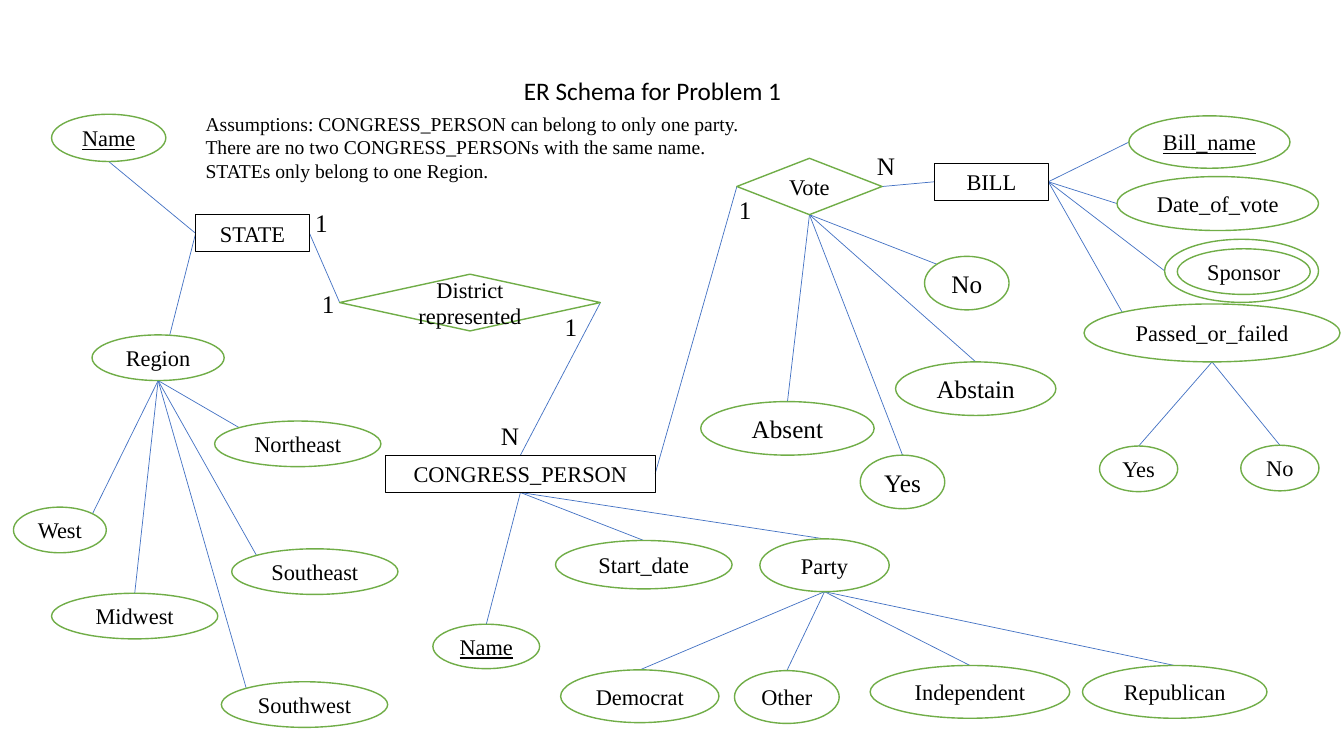
"""Build the ER schema slide for states, congress persons and bills."""
from pptx import Presentation
from pptx.dml.color import RGBColor
from pptx.enum.shapes import MSO_CONNECTOR, MSO_SHAPE
from pptx.enum.text import MSO_ANCHOR, MSO_AUTO_SIZE, PP_ALIGN
from pptx.oxml.ns import qn
from pptx.util import Cm, Pt
from lxml import etree

COLORS = {name: RGBColor.from_string(value) for name, value in {
    "text": "000000", "entity": "000000", "paper": "FFFFFF",
    "oval": "70AD47", "link": "4472C4"}.items()}
SERIF = "Times New Roman"

entities = {
    "STATE": (4.93, 5.41, 2.87, 0.94),
    "CONGRESS_PERSON": (9.72, 11.47, 6.79, 0.94),
    "BILL": (23.55, 4.11, 2.87, 0.94),
}
relationships = {
    "Vote": (18.57, 3.99, 3.66, 1.42),
    "District represented": (8.56, 6.91, 6.57, 1.43),
}
attributes = {
    "STATE/Name": (1.3, 2.88, 2.88, 1.19),
    "Region": (2.32, 8.44, 3.33, 1.15),
    "Northeast": (5.41, 10.61, 4.19, 1.15),
    "Southeast": (5.84, 13.83, 4.19, 1.15),
    "West": (0.34, 12.78, 2.34, 1.15),
    "Southwest": (5.58, 17.18, 4.19, 1.15),
    "Midwest": (1.3, 14.95, 4.19, 1.15),
    "CONGRESS_PERSON/Name": (10.91, 15.73, 2.69, 1.12),
    "Start_date": (14, 13.62, 4.45, 1.22),
    "Party": (19.15, 13.58, 3.26, 1.33),
    "Democrat": (14.13, 16.88, 3.99, 1.33),
    "Other": (18.51, 16.9, 2.64, 1.33),
    "Independent": (21.93, 16.77, 5.03, 1.33),
    "Republican": (27.28, 16.77, 4.65, 1.33),
    "Bill_name": (28.45, 2.92, 4.06, 1.32),
    "Date_of_vote": (28.15, 4.45, 5.08, 1.36),
    "Sponsor ring/": (29.35, 6.03, 3.88, 1.59),
    "Sponsor": (29.67, 6.27, 3.35, 1.15),
    "Passed_or_failed": (27.32, 7.66, 6.45, 1.46),
    "Passed/Yes": (27.71, 11.24, 1.97, 1.15),
    "Passed/No": (31.27, 11.22, 1.97, 1.15),
    "Vote/Yes": (21.68, 11.47, 2.13, 1.35),
    "Vote/No": (23.3, 6.46, 2.13, 1.35),
    "Vote/Abstain": (22.57, 9.12, 4.04, 1.35),
    "Vote/Absent": (17.66, 10.12, 4.37, 1.35),
}
keys = {"STATE/Name", "CONGRESS_PERSON/Name", "Bill_name"}
boxes = {**entities, **relationships, **attributes}

sides = {"top": (0.5, 0), "bottom": (0.5, 1), "left": (0, 0.5), "right": (1, 0.5),
         "top left": (0.15, 0.15), "top right": (0.85, 0.15)}
links = {
    ("STATE", "left"): [("STATE/Name", "bottom"), ("Region", "bottom")],
    ("STATE", "right"): [("District represented", "left")],
    ("CONGRESS_PERSON", "top"): [("District represented", "right")],
    ("CONGRESS_PERSON", "right"): [("Vote", "left")],
    ("BILL", "left"): [("Vote", "right")],
    ("Region", "bottom"): [
        ("Northeast", "top left"), ("Southeast", "top left"), ("West", "top right"),
        ("Southwest", "top left"), ("Midwest", "top")],
    ("CONGRESS_PERSON", "bottom"): [
        ("CONGRESS_PERSON/Name", "top"), ("Start_date", "top"), ("Party", "top")],
    ("Party", "bottom"): [
        ("Democrat", "top"), ("Other", "top"), ("Independent", "top"), ("Republican", "top")],
    ("BILL", "right"): [
        ("Bill_name", "left"), ("Date_of_vote", "left"), ("Sponsor ring/", "left"),
        ("Passed_or_failed", "top left")],
    ("Passed_or_failed", "bottom"): [("Passed/Yes", "top"), ("Passed/No", "top")],
    ("Vote", "bottom"): [
        ("Vote/Yes", "top"), ("Vote/No", "top left"), ("Vote/Abstain", "top"),
        ("Vote/Absent", "top")],
}
cardinalities = [
    ("1", 7.85, 7.14, 0.84), ("1", 7.68, 5.1, 0.84), ("1", 13.97, 7.73, 0.84),
    ("1", 18.36, 4.78, 0.84), ("N", 21.84, 3.66, 0.97), ("N", 12.37, 10.46, 0.97),
]
assumptions = [
    "Assumptions: CONGRESS_PERSON can belong to only one party.",
    "There are no two CONGRESS_PERSONs with the same name.",
    "STATEs only belong to one Region.",
]


def anchor(name, side):
    left, top, width, height = boxes[name]
    across, down = sides[side]
    return Cm(left + across * width), Cm(top + down * height)


def write(shape, lines, size, align=PP_ALIGN.CENTER, font=SERIF, wrap=False,
          underline=None, middle=False):
    frame = shape.text_frame
    frame.text = "\n".join(lines)
    frame.word_wrap = wrap
    frame.auto_size = MSO_AUTO_SIZE.NONE
    frame.vertical_anchor = MSO_ANCHOR.MIDDLE if middle else MSO_ANCHOR.TOP
    for paragraph in frame.paragraphs:
        paragraph.alignment = align
        paragraph.line_spacing = 1.0
        paragraph.space_before = Pt(0)
        for run in paragraph.runs:
            run.font.name = font
            run.font.size = Pt(size)
            run.font.underline = underline
            run.font.color.rgb = COLORS["text"]


prs = Presentation()
prs.slide_width, prs.slide_height = Cm(33.87), Cm(19.05)
slide = prs.slides.add_slide(prs.slide_layouts[5])
shapes = slide.shapes

title = shapes.title
title.left, title.top, title.width, title.height = Cm(12.95), Cm(1.78), Cm(7.06), Cm(1.02)
write(title, ["ER Schema for Problem 1"], 18, PP_ALIGN.LEFT, "Calibri")

for start, ends in links.items():
    for end in ends:
        link = shapes.add_connector(MSO_CONNECTOR.STRAIGHT, *anchor(*start), *anchor(*end))
        link.line.color.rgb = COLORS["link"]
        link.line.width = Pt(0.5)
        etree.SubElement(link._element.spPr, qn("a:effectLst"))

for group, preset, outline, weight in (
        (entities, MSO_SHAPE.RECTANGLE, "entity", 0.75),
        (relationships, MSO_SHAPE.DIAMOND, "oval", 1),
        (attributes, MSO_SHAPE.OVAL, "oval", 1)):
    for name, box in group.items():
        node = shapes.add_shape(preset, *map(Cm, box))
        node.shadow.inherit = False
        if group is entities:
            node.fill.background()
        else:
            node.fill.solid()
            node.fill.fore_color.rgb = COLORS["paper"]
        node.line.color.rgb = COLORS[outline]
        node.line.width = Pt(weight)
        label = name.split("/")[-1]
        if label:
            write(node, [label], 18 if name.startswith("Vote/") else 16, wrap=True,
                  underline=True if name in keys else None, middle=True)

for symbol, left, top, width in cardinalities:
    write(shapes.add_textbox(Cm(left), Cm(top), Cm(width), Cm(1.02)), [symbol], 18)

note = shapes.add_textbox(Cm(4.93), Cm(2.69), Cm(14.07), Cm(2.06))
write(note, assumptions, 14, PP_ALIGN.LEFT)

prs.save("out.pptx")
